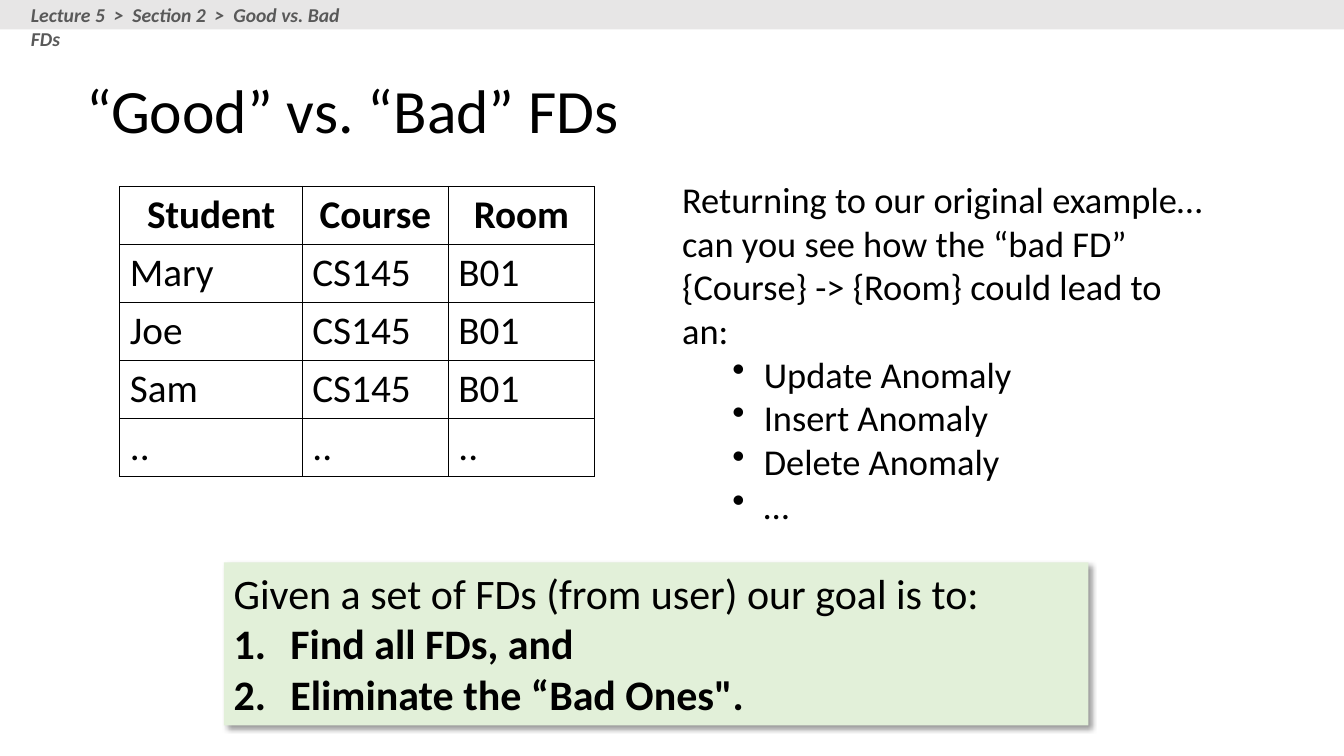
from dataclasses import dataclass
from typing import Optional

from lxml import etree
from pptx import Presentation
from pptx import util as u
from pptx.dml.color import RGBColor
from pptx.enum import shapes, text
from pptx.oxml import parse_xml
from pptx.oxml.ns import nsdecls, qn

FONT = "Calibri"
BLACK = "000000"
ROW_HEIGHT = 1.46
COLUMN_WIDTHS = (4.6, 3.68, 3.68)
ENROLMENT = (
    ("Student", "Course", "Room"),
    ("Mary", "CS145", "B01"),
    ("Joe", "CS145", "B01"),
    ("Sam", "CS145", "B01"),
    ("..", "..", ".."),
)


@dataclass(frozen=True)
class Box:
    """Left, top, width and height in centimetres."""
    left: float
    top: float
    width: float
    height: float

    def lengths(self) -> tuple:
        return tuple(u.Cm(n) for n in (self.left, self.top, self.width, self.height))


@dataclass(frozen=True)
class ListStyle:
    tag: str
    attribute: str
    value: str
    indent: float
    hanging: float


@dataclass(frozen=True)
class Line:
    words: str
    size: float
    bold: bool = False
    italic: bool = False
    color: str = BLACK
    list_style: Optional[ListStyle] = None
    spacing: Optional[float] = None
    align: text.PP_ALIGN = text.PP_ALIGN.LEFT


BULLET = ListStyle("a:buChar", "char", "•", 2.06, 0.79)
NUMBER = ListStyle("a:buAutoNum", "type", "arabicPeriod", 1.43, 1.43)

TITLE = (Line("“Good” vs. “Bad” FDs", 44, spacing=0.9),)
BREADCRUMB = (Line("Lecture 5  >  Section 2  >  Good vs. Bad FDs", 14,
                   bold=True, italic=True, color="595959"),)
GOAL = (
    Line("Given a set of FDs (from user) our goal is to:", 30),
    Line("Find all FDs, and", 30, bold=True, list_style=NUMBER),
    Line("Eliminate the “Bad Ones\".", 30, bold=True, list_style=NUMBER),
)
QUESTION = (
    Line("Returning to our original example… can you see how the “bad FD” "
         "{Course} -> {Room} could lead to an:", 26),
    *(Line(words, 26, list_style=BULLET)
      for words in ("Update Anomaly", "Insert Anomaly", "Delete Anomaly", "…")),
)


def rgb(color: str) -> RGBColor:
    return RGBColor.from_string(color)


def write(frame, lines: tuple, anchor=text.MSO_ANCHOR.TOP) -> None:
    frame.word_wrap = True
    frame.vertical_anchor = anchor
    for index, line in enumerate(lines):
        paragraph = frame.add_paragraph() if index else frame.paragraphs[0]
        paragraph.alignment = line.align
        if line.spacing:
            paragraph.line_spacing = line.spacing
        style = line.list_style
        if style:
            properties = paragraph._p.get_or_add_pPr()
            properties.set("marL", str(u.Cm(style.indent)))
            properties.set("indent", str(-u.Cm(style.hanging)))
            mark = etree.SubElement(properties, qn(style.tag))
            mark.set(style.attribute, style.value)
        run = paragraph.add_run()
        run.text = line.words
        font = run.font
        font.name, font.size = FONT, u.Pt(line.size)
        font.bold, font.italic = line.bold, line.italic
        font.color.rgb = rgb(line.color)


def add_text(slide, box: Box, lines: tuple, anchor=text.MSO_ANCHOR.TOP) -> None:
    write(slide.shapes.add_textbox(*box.lengths()).text_frame, lines, anchor)


def add_rectangle(slide, box: Box, color: str):
    shape = slide.shapes.add_shape(shapes.MSO_SHAPE.RECTANGLE, *box.lengths())
    shape.shadow.inherit = False
    shape.fill.solid()
    shape.fill.fore_color.rgb = rgb(color)
    shape.line.fill.background()
    return shape


def add_soft_shadow(shape) -> None:
    effects = shape._element.spPr.find(qn("a:effectLst"))
    effects.append(parse_xml(
        f'<a:outerShdw {nsdecls("a")} blurRad="{u.Pt(4)}" dist="{u.Pt(3)}" '
        f'dir="2700000" algn="tl" rotWithShape="0"><a:srgbClr val="{BLACK}">'
        '<a:alpha val="40000"/></a:srgbClr></a:outerShdw>'))


def outline_cell(cell) -> None:
    properties = cell._tc.get_or_add_tcPr()
    for index, side in enumerate(("lnL", "lnR", "lnT", "lnB")):
        properties.insert(index, parse_xml(
            f'<a:{side} {nsdecls("a")} w="{u.Pt(1)}"><a:solidFill>'
            f'<a:srgbClr val="{BLACK}"/></a:solidFill></a:{side}>'))


def add_enrolment_table(slide, left: float, top: float) -> None:
    box = Box(left, top, sum(COLUMN_WIDTHS), ROW_HEIGHT * len(ENROLMENT))
    table = slide.shapes.add_table(
        len(ENROLMENT), len(COLUMN_WIDTHS), *box.lengths()).table
    table.first_row = table.horz_banding = False
    for column, width in zip(table.columns, COLUMN_WIDTHS):
        column.width = u.Cm(width)
    for row_index, values in enumerate(ENROLMENT):
        table.rows[row_index].height = u.Cm(ROW_HEIGHT)
        header = row_index == 0
        align = text.PP_ALIGN.CENTER if header else text.PP_ALIGN.LEFT
        for column_index, value in enumerate(values):
            cell = table.cell(row_index, column_index)
            cell.fill.background()
            outline_cell(cell)
            write(cell.text_frame, (Line(value, 28, bold=header, align=align),))


def main() -> None:
    presentation = Presentation()
    presentation.slide_width = u.Cm(33.87)
    presentation.slide_height = u.Cm(19.05)
    slide = presentation.slides.add_slide(presentation.slide_layouts[6])

    add_enrolment_table(slide, 3.02, 4.7)
    goal = add_rectangle(slide, Box(5.64, 14.17, 21.79, 4.11), "E2F0D9")
    add_soft_shadow(goal)
    write(goal.text_frame, GOAL)
    add_text(slide, Box(16.94, 4.34, 13.77, 9.14), QUESTION)
    add_text(slide, Box(1.93, 1.02, 29.59, 3.68), TITLE, text.MSO_ANCHOR.MIDDLE)
    add_rectangle(slide, Box(0, 0, 33.87, 0.74), "E7E6E6")
    add_text(slide, Box(0.53, -0.05, 8.99, 0.86), BREADCRUMB)
    presentation.save("out.pptx")


if __name__ == "__main__":
    main()
